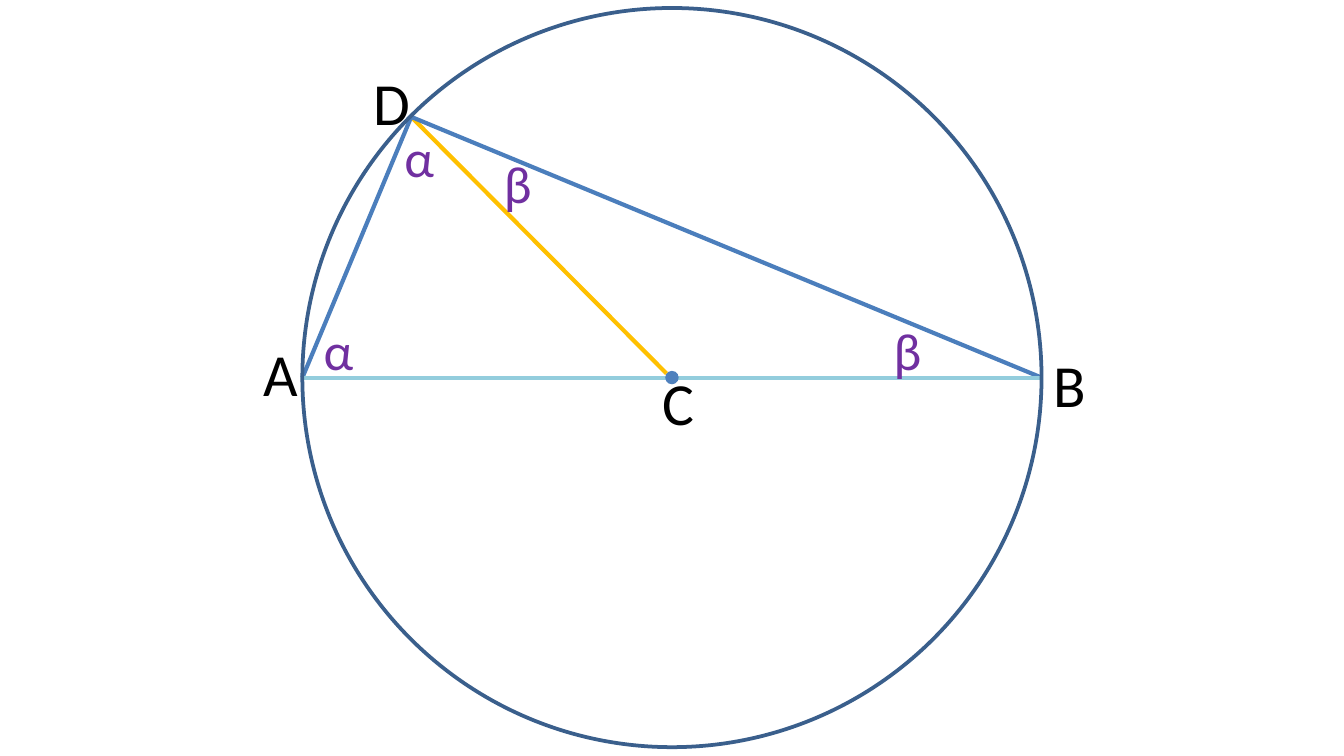
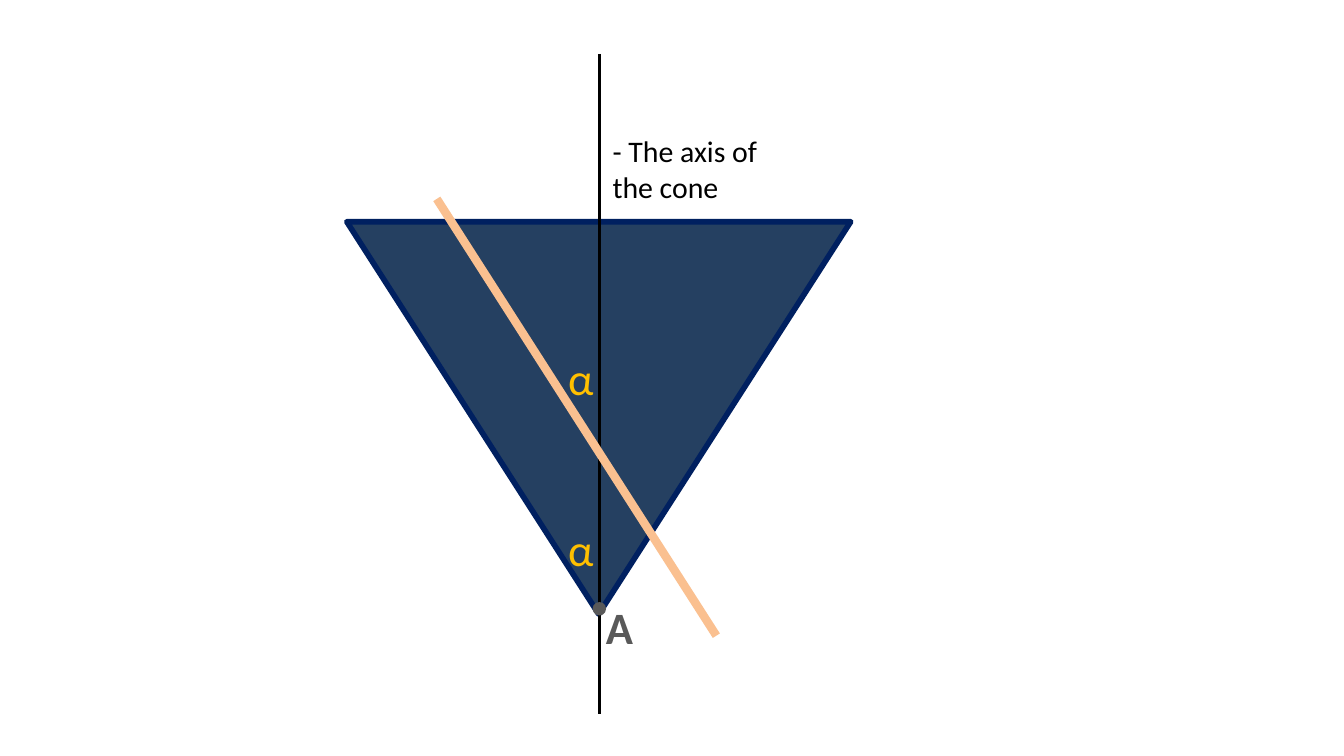
import pptx
import pptx.dml.color
import pptx.enum.shapes
import pptx.enum.text
import pptx.oxml.ns
import pptx.util
import lxml.etree

PX = 9144
RGB = pptx.dml.color.RGBColor
BLACK = RGB(0x00, 0x00, 0x00)
GREY = RGB(0x59, 0x59, 0x59)
GOLD = RGB(0xFF, 0xC0, 0x00)
PURPLE = RGB(0x70, 0x30, 0xA0)
CHORD = RGB(0x4B, 0x7E, 0xBC)
DIAMETER = RGB(0x93, 0xCD, 0xDD)
RIM = RGB(0x3A, 0x5F, 0x8C)
CENTRE = RGB(0x4F, 0x81, 0xBD)
CONE = RGB(0x25, 0x40, 0x61)
CONE_EDGE = RGB(0x00, 0x20, 0x60)
PEACH = RGB(0xFA, 0xC0, 0x90)
MSO = pptx.enum.shapes.MSO_SHAPE

POINT = {"size": pptx.util.Pt(32), "color": BLACK}
ANGLE = {"size": pptx.util.Pt(28), "color": PURPLE}
CONE_ANGLE = {"size": pptx.util.Pt(24), "color": GOLD}
APEX = {"size": pptx.util.Pt(24), "color": GREY, "bold": True}
NOTE = {"size": pptx.util.Pt(16), "color": BLACK}


def add_line(s, start, end, color, width):
    cx = s.shapes.add_connector(
        pptx.enum.shapes.MSO_CONNECTOR.STRAIGHT, *[v * PX for v in start + end])
    cx.line.color.rgb = color
    cx.line.width = pptx.util.Pt(width)
    lxml.etree.SubElement(cx._element.spPr, pptx.oxml.ns.qn("a:effectLst"))


def add_shape(s, kind, box, fill=None, line=None, width=0):
    sp = s.shapes.add_shape(kind, *[v * PX for v in box])
    sp.shadow.inherit = False
    if fill is None:
        sp.fill.background()
    else:
        sp.fill.solid()
        sp.fill.fore_color.rgb = fill
    if line is None:
        sp.line.fill.background()
    else:
        sp.line.color.rgb = line
        sp.line.width = pptx.util.Pt(width)
    return sp


prs = pptx.Presentation()
prs.slide_width = 1000 * PX
prs.slide_height = prs.slide_width * 9 // 16
circle, cone = [prs.slides.add_slide(prs.slide_layouts[6]) for _ in range(2)]

A, B, C, D = (225, 281), (775, 281), (496, 278), (306, 87)
for start, end, color in [(D, C, GOLD), (D, B, CHORD), (D, A, CHORD), (A, B, DIAMETER)]:
    add_line(circle, start, end, color, 2.25)
add_shape(circle, MSO.OVAL, (225, 6, 550, 550), line=RIM, width=2)
add_shape(circle, MSO.OVAL, (495, 276, 10, 10), CENTRE)

sp = add_shape(cone, MSO.ISOSCELES_TRIANGLE, (258, 165, 375, 292), CONE, CONE_EDGE, 3)
sp._element.spPr.get_or_add_xfrm().set("flipV", "1")
add_line(cone, (446, 40), (446, 531), BLACK, 1.5)
add_line(cone, (325, 148), (533, 473), PEACH, 4.5)
add_shape(cone, MSO.OVAL, (441, 448, 10, 10), GREY)

for s, text, box, style in [
    (circle, "C", (483, 267, 51, 64), POINT),
    (circle, "A", (186, 246, 58, 64), POINT),
    (circle, "B", (774, 254, 27, 64), POINT),
    (circle, "D", (268, 44, 27, 64), POINT),
    (circle, "α", (231, 232, 58, 57), ANGLE),
    (circle, "β", (655, 232, 58, 57), ANGLE),
    (circle, "α", (291, 88, 58, 57), ANGLE),
    (circle, "β", (365, 108, 58, 57), ANGLE),
    (cone, "α", (413, 256, 50, 50), CONE_ANGLE),
    (cone, "α", (413, 383, 50, 50), CONE_ANGLE),
    (cone, "A", (441, 441, 41, 50), APEX),
    (cone, "- The axis of the cone", (446, 94, 138, 64), NOTE),
]:
    tf = s.shapes.add_textbox(*[v * PX for v in box]).text_frame
    tf.word_wrap = style is not APEX
    tf.auto_size = pptx.enum.text.MSO_AUTO_SIZE.SHAPE_TO_FIT_TEXT
    r = tf.paragraphs[0].add_run()
    r.text = text
    r.font.name = "Calibri"
    for name, value in style.items():
        if name == "color":
            r.font.color.rgb = value
        else:
            setattr(r.font, name, value)

prs.save("out.pptx")
